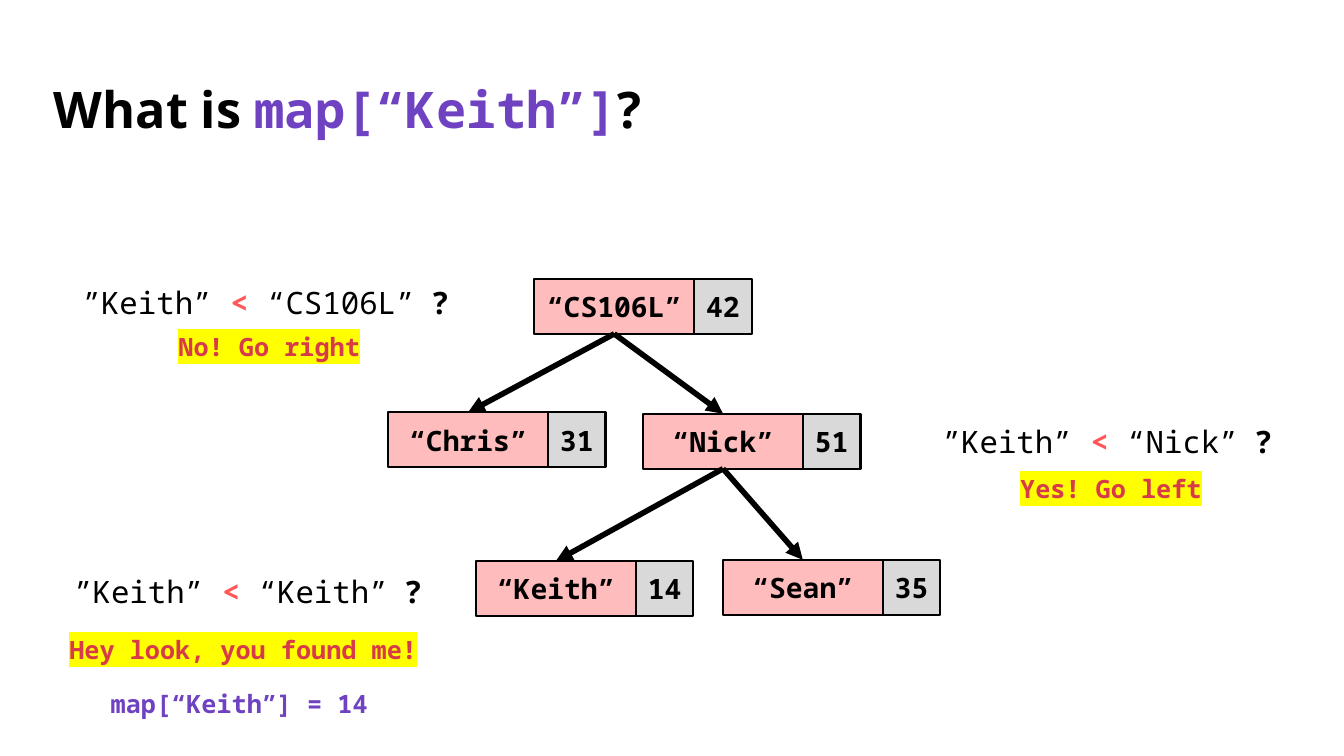
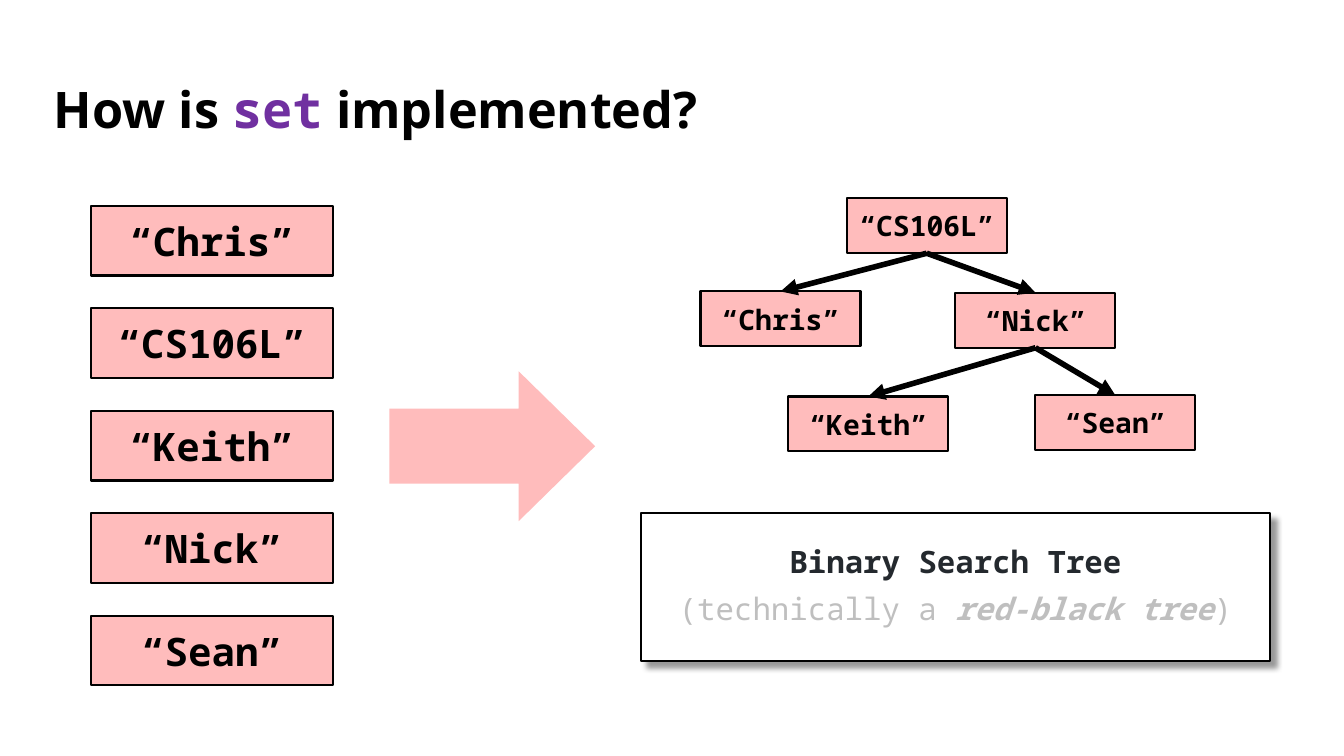
from lxml.etree import SubElement
from pptx import Presentation
from pptx.dml.color import RGBColor
from pptx.enum.shapes import MSO_CONNECTOR as Link, MSO_SHAPE as Preset
from pptx.enum.text import MSO_ANCHOR as Anchor, MSO_AUTO_SIZE as AutoSize, PP_ALIGN as Align
from pptx.oxml.ns import qn
from pptx.util import Pt

BLACK = RGBColor(0x00, 0x00, 0x00)
WHITE = RGBColor(0xFF, 0xFF, 0xFF)
INK = RGBColor(0x24, 0x29, 0x2E)
SILVER = RGBColor(0xBF, 0xBF, 0xBF)
GRAY = RGBColor(0xD9, 0xD9, 0xD9)
PINK = RGBColor(0xFF, 0xBC, 0xBC)
CORAL = RGBColor(0xFF, 0x57, 0x57)
RED = RGBColor(0xD7, 0x3A, 0x48)
YELLOW = RGBColor(0xFF, 0xFF, 0x00)
VIOLET = RGBColor(0x6F, 0x42, 0xC1)
PURPLE = RGBColor(0x70, 0x30, 0xA0)

SANS = "Open Sans"
MONO = "Noto Sans Mono"

COLUMNS, ROWS = 160, 90
CELL = Pt(6)
NODE_WIDTH, NODE_HEIGHT, VALUE_WIDTH = 19.05, 6.55, 6.85
NOTE_WIDTH = 47.5

TREE = [
    ("CS106L", None, 0, 0, 0),
    ("Chris", "CS106L", -17.4, 1, 0),
    ("Nick", "CS106L", 12.95, 1, 0.15),
    ("Keith", "Nick", -6.95, 2, 0.15),
    ("Sean", "Nick", 22.45, 2, 0),
]


def cells(*lengths):
    return [round(length * CELL) for length in lengths]


class Board:
    def __init__(self):
        self.deck = Presentation()
        self.deck.slide_width, self.deck.slide_height = cells(COLUMNS, ROWS)
        self.page = None

    def style(self, font, size=None, name=None, color=None, bold=None, italic=None):
        if size:
            font.size = Pt(size)
        if name:
            font.name = name
        if color is not None:
            font.color.rgb = color
        if bold is not None:
            font.bold = bold
        if italic is not None:
            font.italic = italic

    def put_text(self, para, spans, align=Align.CENTER, size=20, name=MONO,
                 color=BLACK, bold=True, highlight=None):
        para.alignment = align
        self.style(para.font, size, name, color, bold)
        for text, changes in spans:
            span = para.add_run()
            span.text = text
            self.style(span.font, **changes)
            if highlight is not None:
                span.font.color.rgb = color
                marker = SubElement(span.font._element, qn("a:highlight"))
                SubElement(marker, qn("a:srgbClr"), val=str(highlight))

    def new_page(self, before, code, after, code_color):
        self.page = self.deck.slides.add_slide(self.deck.slide_layouts[5])
        title = self.page.shapes.title
        title.left, title.top, title.width, title.height = cells(5.2, 8.3, 149.6, 10.1)
        frame = title.text_frame
        frame.word_wrap = True
        frame.auto_size = AutoSize.NONE
        frame.vertical_anchor = Anchor.MIDDLE
        para = frame.paragraphs[0]
        para.line_spacing = 0.9
        spans = [(before, {}), (code, {"name": MONO, "color": code_color}), (after, {})]
        self.put_text(para, spans, Align.LEFT, 36, SANS)

    def shape(self, preset, left, top, width, height, fill, outlined=True, shapes=None):
        shapes = shapes or self.page.shapes
        shape = shapes.add_shape(preset, *cells(left, top, width, height))
        shape.shadow.inherit = False
        shape.fill.solid()
        shape.fill.fore_color.rgb = fill
        if outlined:
            shape.line.color.rgb = BLACK
            shape.line.width = Pt(1.5)
        else:
            shape.line.fill.background()
        return shape

    def box(self, left, top, width, height, text, fill=PINK, size=20, shapes=None):
        box = self.shape(Preset.RECTANGLE, left, top, width, height, fill, shapes=shapes)
        box.text_frame.vertical_anchor = Anchor.MIDDLE
        self.put_text(box.text_frame.paragraphs[0], [(text, {})], size=size)
        return box

    def note(self, left, top, width, height, spans, **look):
        note = self.page.shapes.add_textbox(*cells(left, top, width, height))
        note.text_frame.word_wrap = True
        note.text_frame.auto_size = AutoSize.SHAPE_TO_FIT_TEXT
        self.put_text(note.text_frame.paragraphs[0], spans, **look)

    def question(self, left, top, key):
        spans = [
            ("”Keith” ", {}),
            ("<", {"color": CORAL, "bold": True}),
            (f" “{key}” ", {}),
            ("? ", {"name": SANS, "bold": True}),
        ]
        self.note(left, top, NOTE_WIDTH, 5.65, spans, size=22, bold=False)

    def answer(self, left, top, text):
        self.note(left, top, NOTE_WIDTH, 4.85, [(text, {})], size=18,
                  color=RED, highlight=YELLOW)

    def arrow(self, parent, child):
        arrow = self.page.shapes.add_connector(Link.STRAIGHT, 0, 0, 0, 0)
        arrow.begin_connect(parent, 2)
        arrow.end_connect(child, 0)
        arrow.line.color.rgb = BLACK
        arrow.line.width = Pt(4)
        outline = arrow.element.spPr.find(qn("a:ln"))
        SubElement(outline, qn("a:tailEnd"), type="triangle")
        SubElement(arrow.element.spPr, qn("a:effectLst"))

    def tree(self, root_left, levels, values=None):
        nodes = {}
        for key, _, shift, level, drop in TREE:
            left, top = root_left + shift, levels[level] + drop
            shapes = self.page.shapes.add_group_shape().shapes if values else None
            nodes[key] = self.box(left, top, NODE_WIDTH, NODE_HEIGHT, f"“{key}”",
                                  shapes=shapes)
            if values:
                self.box(left + NODE_WIDTH, top, VALUE_WIDTH, NODE_HEIGHT,
                         str(values[key]), GRAY, shapes=shapes)
        for key, parent, *_ in TREE:
            if parent:
                self.arrow(nodes[parent], nodes[key])

    def card(self, left, top, width, height, lines):
        card = self.shape(Preset.RECTANGLE, left, top, width, height, WHITE)
        effects = card.element.spPr.find(qn("a:effectLst"))
        shadow = SubElement(effects, qn("a:outerShdw"), blurRad=str(Pt(4)),
                            dist=str(Pt(6)), dir=str(45 * 60000), algn="tl", rotWithShape="0")
        tint = SubElement(shadow, qn("a:srgbClr"), val=str(BLACK))
        SubElement(tint, qn("a:alpha"), val="40000")
        frame = card.text_frame
        frame.vertical_anchor = Anchor.MIDDLE
        frame.margin_left = frame.margin_right = Pt(18)
        frame.margin_top = frame.margin_bottom = Pt(18)
        for index, (spans, color, bold) in enumerate(lines):
            para = frame.add_paragraph() if index else frame.paragraphs[0]
            para.line_spacing = 0.9
            if index:
                para.space_before = Pt(10)
            self.put_text(para, spans, size=22, color=color, bold=bold)


def lookup_page(board):
    board.new_page("What is ", "map[“Keith”]", "?", VIOLET)
    values = {"CS106L": 42, "Chris": 31, "Nick": 51, "Keith": 14, "Sean": 35}
    board.tree(63.6, (33.2, 49.1, 66.65), values)
    board.question(8.3, 33.15, "CS106L")
    board.answer(8.3, 38.8, "No! Go right")
    board.question(108.5, 49.7, "Nick")
    board.answer(108.5, 55.7, "Yes! Go left")
    board.question(6.2, 67.65, "Keith")
    board.answer(5.2, 74.9, "Hey look, you found me!")
    board.note(12, 81.35, 36, 4.85, [("map[“Keith”] = 14", {})],
               align=Align.LEFT, size=18, color=VIOLET)


def set_page(board):
    board.new_page("How is ", "set", " implemented?", PURPLE)
    for index, key in enumerate(("Chris", "CS106L", "Keith", "Nick", "Sean")):
        board.box(10.8, 24.5 + 12.2 * index, 28.8, 8.3, f"“{key}”", size=28)
    board.tree(100.8, (23.6, 34.7, 47.05))
    arrow = board.shape(Preset.RIGHT_ARROW, 46.35, 44.2, 24.5, 17.85, PINK, outlined=False)
    arrow.adjustments[1] = 0.51
    board.card(76.3, 61.1, 74.9, 17.65, [
        ([("Binary Search Tree", {})], INK, True),
        ([("(technically a ", {}), ("red-black tree", {"bold": True, "italic": True}),
          (")", {})], SILVER, False),
    ])


def main():
    board = Board()
    lookup_page(board)
    set_page(board)
    board.deck.save("out.pptx")


if __name__ == "__main__":
    main()
